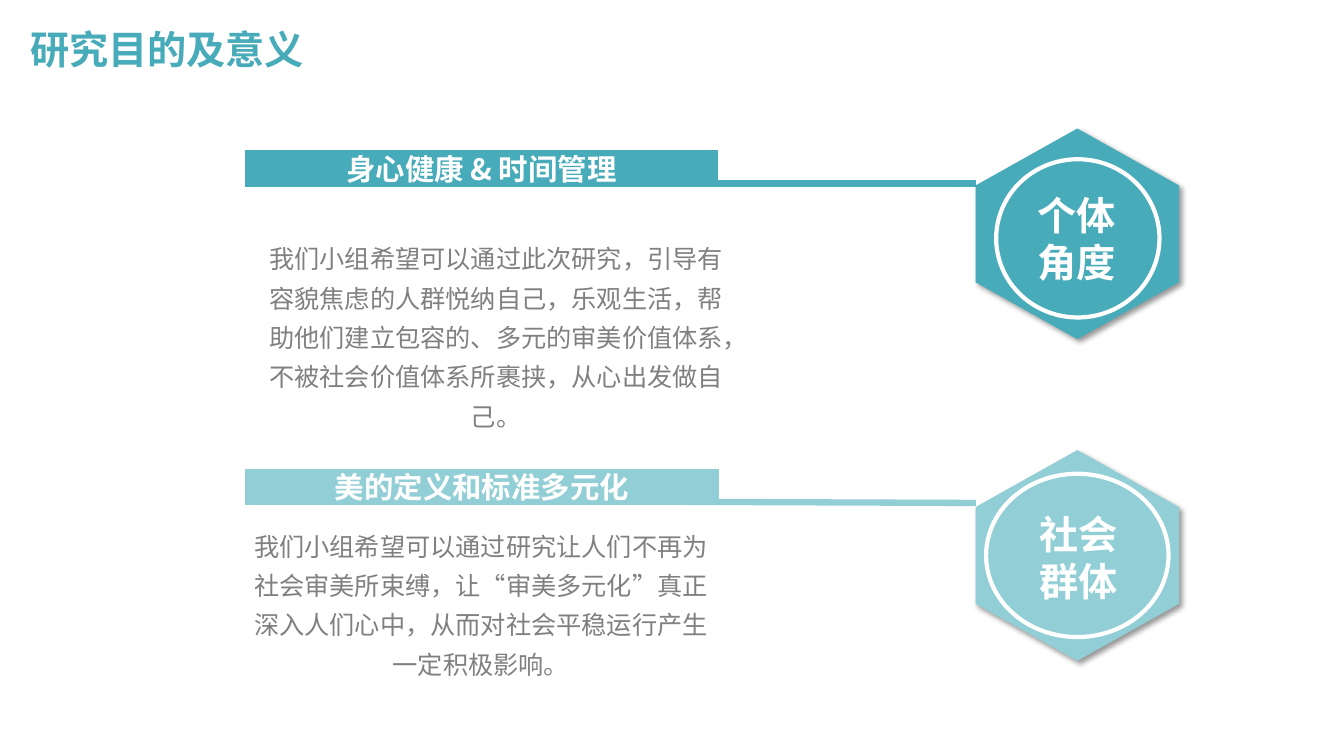
from dataclasses import dataclass

from lxml import etree
from pptx import Presentation
from pptx import util as u
from pptx.dml import color
from pptx.enum import shapes, text
from pptx.oxml import ns

PX = u.Inches(1) // 100


@dataclass(frozen=True)
class Theme:
    teal: str = "47ABB9"
    pale: str = "92CED6"
    white: str = "FFFFFF"
    grey: str = "808080"
    shadow: str = "000000"
    cjk: str = "Noto Sans CJK SC"
    latin: str = "Montserrat"
    heading: int = 28
    bar: int = 21
    body: int = 18
    thick: float = 4.5
    thin: float = 3


def rgb(value):
    return color.RGBColor.from_string(value)


def write(sp, content, *, size, fill, font, east, bold=False, align=None,
          anchor=text.MSO_ANCHOR.TOP, spacing=None, insets=(10, 5)):
    tf = sp.text_frame
    tf.word_wrap = True
    tf.auto_size = text.MSO_AUTO_SIZE.NONE
    tf.vertical_anchor = anchor
    tf.margin_left = tf.margin_right = insets[0] * PX
    tf.margin_top = tf.margin_bottom = insets[1] * PX
    p = tf.paragraphs[0]
    p.alignment = align or text.PP_ALIGN.LEFT
    p.line_spacing = spacing
    r = p.add_run()
    r.text = content
    r.font.size = u.Pt(size)
    r.font.bold = bold
    r.font.name = font
    r.font.color.rgb = rgb(fill)
    ea = etree.SubElement(r.font._element, ns.qn("a:ea"))
    ea.set("typeface", east)


class Deck:
    """Draws themed elements on the current slide, with lengths in px."""

    def __init__(self, prs, theme):
        self.theme = theme
        self.s = prs.slides.add_slide(prs.slide_layouts[6])

    def shape(self, kind, box, fill, line=None, width=0, parent=None):
        sp = (parent or self.s).shapes.add_shape(kind, *(v * PX for v in box))
        sp.shadow.inherit = False
        sp.fill.solid()
        sp.fill.fore_color.rgb = rgb(fill)
        if line:
            sp.line.color.rgb = rgb(line)
            sp.line.width = u.Pt(width)
            etree.SubElement(sp.line._get_or_add_ln(), ns.qn("a:miter"),
                             lim="800000")
        else:
            sp.line.fill.background()
        return sp

    def label(self, box, content, parent=None, backing=None, **fmt):
        if backing:
            sp = self.shape(shapes.MSO_SHAPE.RECTANGLE, box, backing,
                            parent=parent)
        else:
            sp = (parent or self.s).shapes.add_textbox(*(v * PX for v in box))
        style = dict(font=self.theme.cjk, east=self.theme.cjk)
        write(sp, content, **{**style, **fmt})

    def line(self, start, end, fill):
        cx = self.s.shapes.add_connector(
            shapes.MSO_CONNECTOR.STRAIGHT, *(v * PX for v in (*start, *end)))
        cx.line.color.rgb = rgb(fill)
        cx.line.width = u.Pt(self.theme.thick)
        etree.SubElement(cx._element.spPr, ns.qn("a:effectLst"))

    def bar(self, box, content, fill):
        t = self.theme
        sp = self.shape(shapes.MSO_SHAPE.RECTANGLE, box, fill, fill, t.thick)
        write(sp, content, size=t.bar, fill=t.white, font=t.cjk, east=t.cjk,
              bold=True, align=text.PP_ALIGN.CENTER,
              anchor=text.MSO_ANCHOR.MIDDLE, insets=(13, 7))

    def badge(self, top, ring, label_box, content, fill, backing=None):
        t = self.theme
        group = self.s.shapes.add_group_shape()
        sp = self.shape(shapes.MSO_SHAPE.HEXAGON, (964, top, 209, 202), fill,
                        parent=group)
        sp.rotation = 270
        sp.adjustments[0] = 0.28
        self.drop_shadow(sp)
        self.shape(shapes.MSO_SHAPE.OVAL, ring, fill, t.white, t.thin, group)
        self.label(label_box, content, group, backing, size=t.heading,
                   fill=t.white, bold=True)

    def drop_shadow(self, sp):
        effects = sp._element.spPr.find(ns.qn("a:effectLst"))
        shadow = etree.SubElement(
            effects, ns.qn("a:outerShdw"), blurRad=str(u.Pt(4)),
            dist=str(u.Pt(3)), dir=str(45 * 60000), algn="tl",
            rotWithShape="0")
        tint = etree.SubElement(shadow, ns.qn("a:srgbClr"),
                                val=self.theme.shadow)
        etree.SubElement(tint, ns.qn("a:alpha"), val="40000")

    def body(self, box, content):
        self.label(box, content, size=self.theme.body, fill=self.theme.grey,
                   align=text.PP_ALIGN.CENTER, spacing=1.3)

    def title(self, box, content):
        t = self.theme
        self.label(box, content, size=t.heading, fill=t.teal, bold=True,
                   font=t.latin, anchor=text.MSO_ANCHOR.MIDDLE, spacing=0.9)


def main():
    prs = Presentation()
    prs.slide_width, prs.slide_height = 1333 * PX, 750 * PX
    theme = Theme()
    deck = Deck(prs, theme)

    deck.line((596, 182), (968, 182), theme.teal)
    deck.bar((246, 152, 463, 30), "身心健康 & 时间管理", theme.teal)
    deck.line((451, 497), (968, 499), theme.pale)
    deck.bar((246, 468, 464, 30), "美的定义和标准多元化", theme.pale)

    deck.badge(131, (988, 158, 162, 157), (1019, 185, 101, 104),
               "个体角度", theme.teal)
    deck.badge(450, (978, 470, 181, 162), (1021, 501, 99, 104),
               "社会群体", theme.pale, theme.pale)

    deck.body((248, 228, 488, 203),
              "我们小组希望可以通过此次研究，引导有容貌焦虑的人群悦纳自己，"
              "乐观生活，帮助他们建立包容的、多元的审美价值体系，"
              "不被社会价值体系所裹挟，从心出发做自己。")
    deck.body((233, 513, 488, 164),
              "我们小组希望可以通过研究让人们不再为社会审美所束缚，"
              "让“审美多元化”真正深入人们心中，"
              "从而对社会平稳运行产生一定积极影响。")
    deck.title((20, 19, 1150, 64), "研究目的及意义")
    prs.save("out.pptx")


if __name__ == "__main__":
    main()
